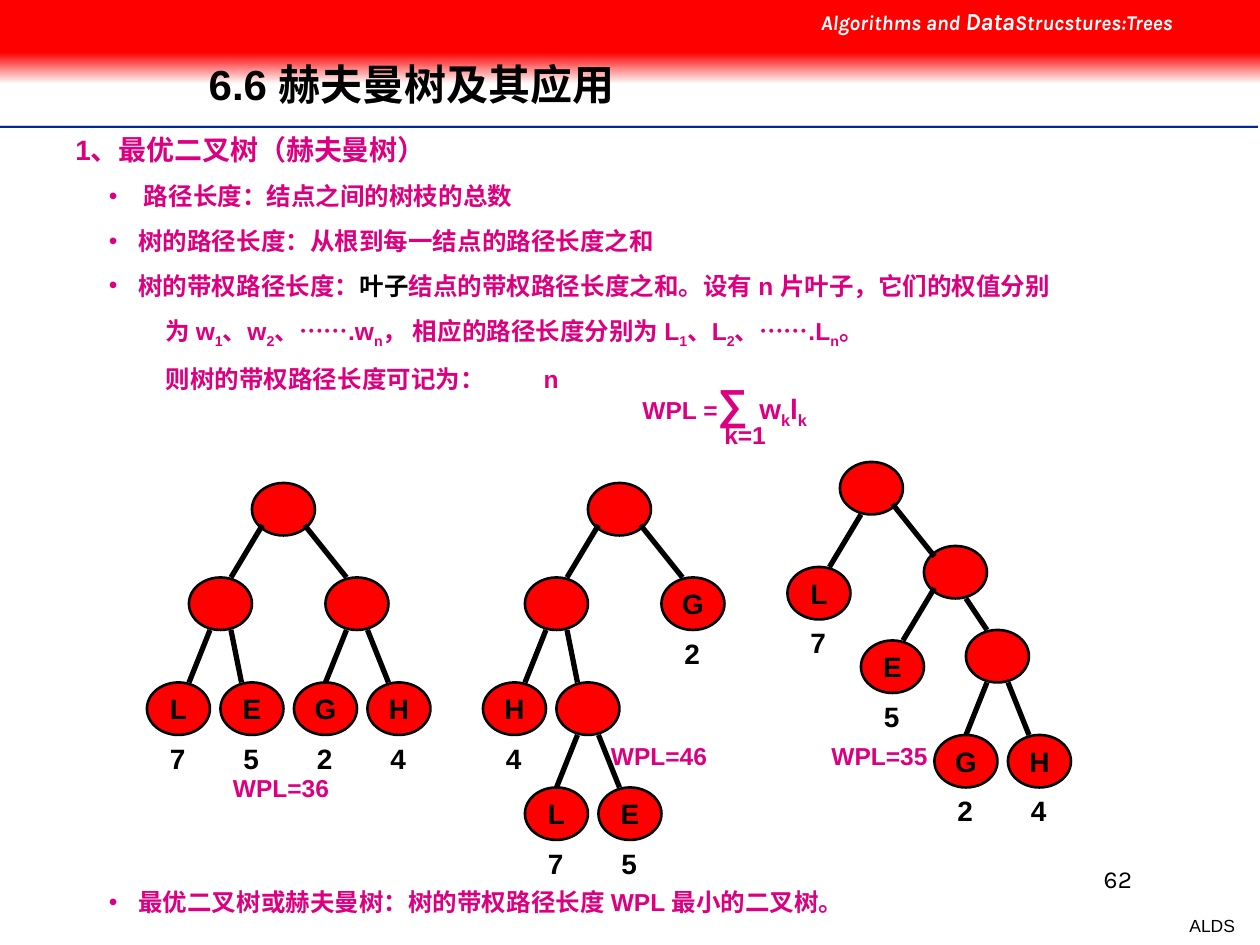
from dataclasses import dataclass

from lxml import etree
from pptx import Presentation
from pptx.dml.color import RGBColor
from pptx.enum.shapes import MSO_CONNECTOR, MSO_SHAPE
from pptx.enum.text import MSO_ANCHOR, PP_ALIGN
from pptx.oxml.ns import qn
from pptx.util import Emu, Pt

RECTANGLE, OVAL = MSO_SHAPE.RECTANGLE, MSO_SHAPE.OVAL
STRAIGHT = MSO_CONNECTOR.STRAIGHT
TOP, MIDDLE = MSO_ANCHOR.TOP, MSO_ANCHOR.MIDDLE
LEFT, CENTER, RIGHT = PP_ALIGN.LEFT, PP_ALIGN.CENTER, PP_ALIGN.RIGHT
PX = 7620
NODE_WIDTH, NODE_HEIGHT = 60, 50
WEIGHTS = {"L": "7", "E": "5", "G": "2", "H": "4"}


@dataclass
class Theme:
    """Colours, fonts and type sizes of the deck."""
    red: str = "FF0000"
    white: str = "FFFFFF"
    black: str = "000000"
    magenta: str = "DC0081"
    blue: str = "00279F"
    grey: str = "CECECE"
    body_font: str = "Arial"
    header_font: str = "Karla"
    title: int = 24
    heading: int = 16
    body: int = 14
    header: int = 12
    footer: int = 10


class Page:
    """Draws elements on one slide in one style."""

    def __init__(self, slide, theme):
        self.shapes = slide.shapes
        self.theme = theme

    def band(self, top, height, fades=False):
        """Draw a full-width red band, fading to white on request."""
        band = self.shapes.add_shape(RECTANGLE, 0, top * PX, 1200 * PX, height * PX)
        band.shadow.inherit = False
        band.line.fill.background()
        if fades:
            band.fill.gradient()
            band.fill.gradient_angle = 270
            for stop, color in zip(band.fill.gradient_stops, (self.theme.red, self.theme.white)):
                stop.color.rgb = RGBColor.from_string(color)
        else:
            band.fill.solid()
            band.fill.fore_color.rgb = RGBColor.from_string(self.theme.red)

    def line(self, start, end, color, width):
        """Draw a straight line and return it."""
        line = self.shapes.add_connector(STRAIGHT, *(Emu(value * PX) for value in start + end))
        line.line.color.rgb = RGBColor.from_string(color)
        line.line.width = Pt(width)
        etree.SubElement(line._element.spPr, qn("a:effectLst"))
        return line

    def style(self, span, size, color, font=None, bold=True, italic=False, subscript=False):
        """Format one run."""
        span.font.size = Pt(size)
        span.font.name = font or self.theme.body_font
        span.font.bold = bold
        span.font.italic = italic
        span.font.color.rgb = RGBColor.from_string(color)
        if subscript:
            span._r.get_or_add_rPr().set("baseline", "-25000")

    def fill_para(self, para, spans, size, color, before=0, spacing=None,
                  margin=0, hanging=0, tab=None, align=LEFT, **look):
        """Fill a paragraph with (text, overrides) spans."""
        para.alignment = align
        if before:
            para.space_before = Pt(before)
        if spacing:
            para.line_spacing = spacing
        properties = para._p.get_or_add_pPr()
        properties.set("marL", str(margin * PX))
        properties.set("indent", str(-hanging * PX))
        if hanging:
            bullet_color = etree.SubElement(properties, qn("a:buClr"))
            etree.SubElement(bullet_color, qn("a:srgbClr"), val=color)
            etree.SubElement(properties, qn("a:buFont"), typeface=self.theme.body_font)
            etree.SubElement(properties, qn("a:buChar"), char="•")
        if tab:
            tabs = etree.SubElement(properties, qn("a:tabLst"))
            etree.SubElement(tabs, qn("a:tab"), pos=str(tab * PX), algn="l")
        for text, overrides in spans:
            span = para.add_run()
            span.text = text
            self.style(span, **{"size": size, "color": color, **look, **overrides})

    def text(self, left, top, width, height, rows, wrap=True, anchor=TOP):
        """Add a text box with one paragraph per row."""
        box = self.shapes.add_textbox(*(Emu(value * PX) for value in (left, top, width, height)))
        frame = box.text_frame
        frame.word_wrap = wrap
        frame.vertical_anchor = anchor
        for index, row in enumerate(rows):
            para = frame.add_paragraph() if index else frame.paragraphs[0]
            self.fill_para(para, **row)

    def label(self, left, top, width, height, text, size, color, wrap=True, anchor=TOP, **look):
        """Add a text box with a single run."""
        row = dict(spans=[(text, {})], size=size, color=color, **look)
        self.text(left, top, width, height, [row], wrap, anchor)

    def node(self, left, top, letter):
        """Draw a tree node; a lettered leaf gets its weight below."""
        theme = self.theme
        node = self.shapes.add_shape(OVAL, left * PX, top * PX, NODE_WIDTH * PX, NODE_HEIGHT * PX)
        node.shadow.inherit = False
        node.fill.solid()
        node.fill.fore_color.rgb = RGBColor.from_string(theme.red)
        node.line.color.rgb = RGBColor.from_string(theme.black)
        node.line.width = Pt(1.5)
        if letter:
            frame = node.text_frame
            frame.word_wrap = False
            frame.vertical_anchor = MIDDLE
            self.fill_para(frame.paragraphs[0], [(letter, {})], theme.heading, theme.black, align=CENTER)
            self.label(left + 10, top + NODE_HEIGHT, 40, 44, WEIGHTS[letter], theme.heading, theme.black)
        return node

    def tree(self, nodes, edges, length, length_at):
        """Draw nodes, edges and the weighted path length of one tree."""
        tops = {(left + NODE_WIDTH // 2, top): self.node(left, top, letter)
                for left, top, letter in nodes}
        for start, end in edges:
            edge = self.line(start, end, self.theme.black, 3)
            if end in tops:
                edge.end_connect(tops[end], 0)
        self.label(*length_at, 190, 41, f"WPL={length}", self.theme.body, self.theme.magenta)


TREES = [
    ([(240, 460, ""), (180, 550, ""), (310, 550, ""),
      (140, 650, "L"), (210, 650, "E"), (280, 650, "G"), (350, 650, "H")],
     [((250, 500), (220, 550)), ((290, 500), (330, 550)), ((200, 600), (180, 650)),
      ((220, 600), (230, 650)), ((330, 600), (310, 650)), ((350, 600), (370, 650))],
     36, (210, 730)),
    ([(560, 460, ""), (500, 550, ""), (630, 550, "G"),
      (460, 650, "H"), (530, 650, ""), (500, 750, "L"), (570, 750, "E")],
     [((570, 500), (540, 550)), ((610, 500), (650, 550)), ((520, 600), (500, 650)),
      ((540, 600), (550, 650)), ((550, 700), (530, 750)), ((570, 700), (590, 750))],
     46, (570, 700)),
    ([(800, 440, ""), (750, 540, "L"), (880, 520, ""),
      (820, 610, "E"), (920, 600, ""), (890, 700, "G"), (960, 700, "H")],
     [((820, 490), (790, 540)), ((850, 480), (890, 530)), ((890, 560), (860, 610)),
      ((920, 570), (940, 600)), ((940, 650), (920, 700)), ((960, 650), (980, 700))],
     35, (780, 700)),
]


def main():
    """Build the slide and save it."""
    theme = Theme()
    deck = Presentation()
    deck.slide_width, deck.slide_height = Emu(1200 * PX), Emu(900 * PX)
    page = Page(deck.slides.add_slide(deck.slide_layouts[6]), theme)

    for y, color, width in ((121, theme.grey, 2), (121, theme.blue, 1), (123, theme.white, 1)):
        page.line((0, y), (1198, y), color, width)
    page.label(1121, 866, 67, 32, "ALDS", theme.footer, theme.black, wrap=False, align=RIGHT, bold=False)
    page.label(860, 817, 230, 60, "62", theme.body, theme.black, align=RIGHT,
               font=theme.header_font, bold=False)
    page.band(50, 30, fades=True)
    page.band(0, 50)
    header = [("Algorithms and ", {}), ("Data", {"size": theme.body}), ("Strucstures:Trees", {})]
    page.text(770, 0, 430, 41, [dict(spans=header, size=theme.header, color=theme.white,
                                     font=theme.header_font, italic=True)])
    page.label(187, 38, 906, 89, "6.6 赫夫曼树及其应用", theme.title, theme.black,
               anchor=MIDDLE, spacing=0.9)

    sub = {"subscript": True}
    big = {"size": theme.heading}
    body = dict(size=theme.body, color=theme.magenta, before=8.8)
    bullet = dict(body, margin=120, hanging=28)
    inset = dict(body, margin=146)
    weights = [("为 w", {}), ("1", sub), ("、w", {}), ("2", sub), ("、…….w", {}), ("n", sub),
               ("， 相应的路径长度分别为 L", {}), ("1", sub), ("、L", {}), ("2", sub),
               ("、…….L", {}), ("n", sub), ("。", {})]
    formula = [("WPL =", {}), ("∑ ", {"size": theme.title}), ("w", big), ("k", {**big, **sub}),
               ("l", big), ("k", {**big, **sub})]
    definition = [("树的带权路径长度：", {}), ("叶子", {"color": theme.black}),
                  ("结点的带权路径长度之和。设有 n 片叶子，它们的权值分别", {})]
    page.text(0, 120, 1040, 338, [
        dict(spans=[("1、最优二叉树（赫夫曼树）", {})], size=theme.heading, color=theme.magenta, margin=60),
        dict(bullet, spans=[(" 路径长度：结点之间的树枝的总数", {})]),
        dict(bullet, spans=[("树的路径长度：从根到每一结点的路径长度之和", {})]),
        dict(bullet, spans=definition),
        dict(inset, spans=weights),
        dict(inset, spans=[("则树的带权路径长度可记为：\tn", {})], tab=395),
        dict(body, spans=formula, margin=600, before=10, spacing=0.2),
        dict(body, spans=[("k=1", {})], margin=678, spacing=0.3),
    ])
    for tree in TREES:
        page.tree(*tree)
    conclusion = [("最优二叉树或赫夫曼树：树的带权路径长度 WPL 最小的二叉树。", {})]
    page.text(0, 839, 830, 68, [dict(bullet, spans=conclusion, before=0)])
    deck.save("out.pptx")


if __name__ == "__main__":
    main()
